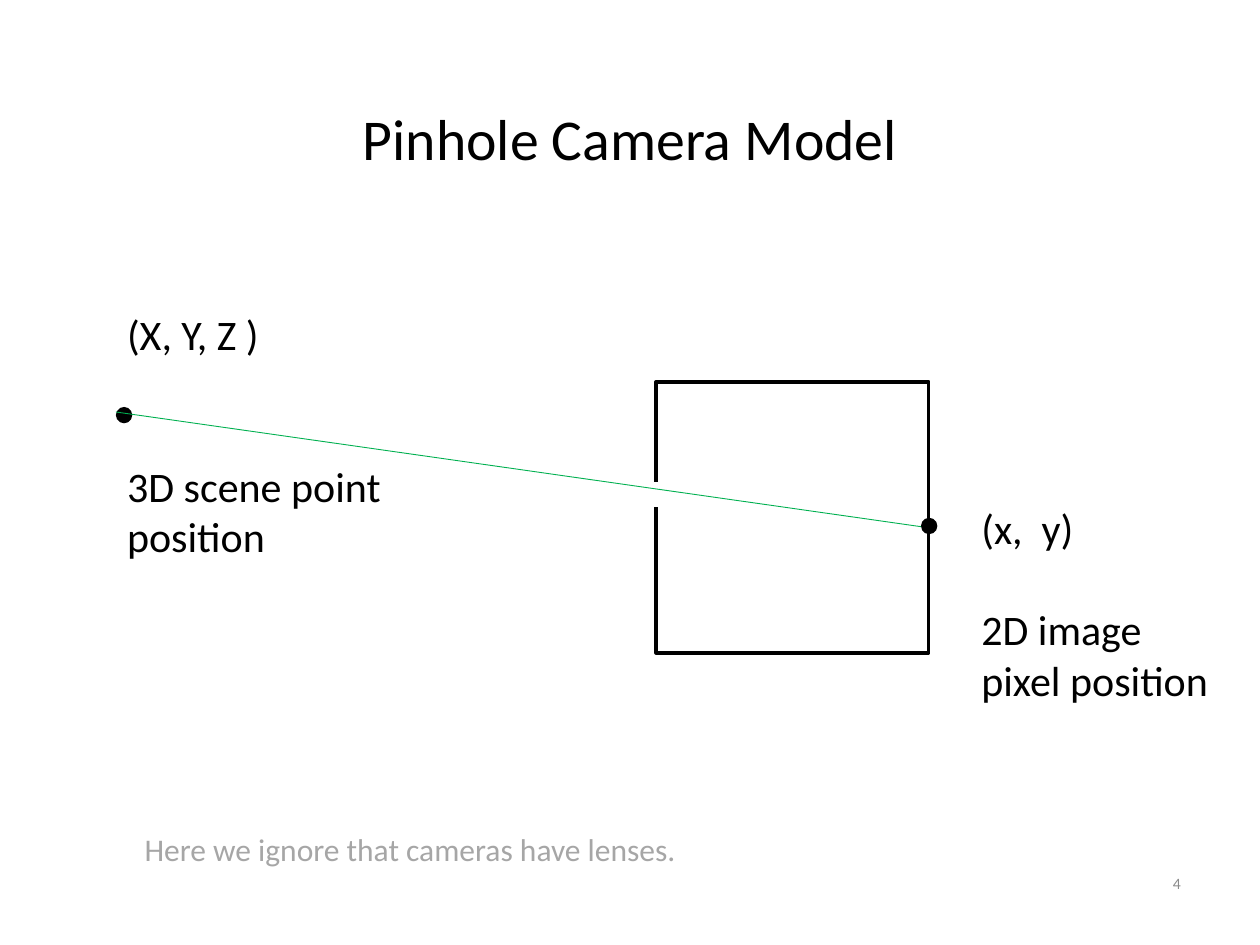
import dataclasses
import typing

import lxml.etree
import pptx
import pptx.dml.color
import pptx.enum.shapes
import pptx.enum.text
import pptx.oxml.ns
import pptx.util

Rgb = pptx.dml.color.RGBColor
Kind = pptx.enum.shapes.MSO_SHAPE
Align = pptx.enum.text.PP_ALIGN
Anchor = pptx.enum.text.MSO_ANCHOR
Fit = pptx.enum.text.MSO_AUTO_SIZE

SCALE = 9144  # EMU in one px, at 100 px to the inch


@dataclasses.dataclass(frozen=True)
class Theme:
    font: str = "Calibri"
    ink: str = "000000"
    paper: str = "FFFFFF"
    ray: str = "00B050"
    note: str = "A6A6A6"
    page: str = "8C8C8C"
    title_size: int = 33
    label_size: int = 24
    note_size: int = 18
    page_size: int = 9


THEME = Theme()


class Box(typing.NamedTuple):
    left: int
    top: int
    width: int
    height: int


@dataclasses.dataclass(frozen=True)
class Label:
    box: Box
    lines: tuple[str, ...]
    size: int
    color: str = THEME.ink
    align: Align = Align.LEFT
    anchor: Anchor = Anchor.TOP
    wrap: bool = False
    pitch: float = 1.0
    gap: int = 0  # points between the first and second line


@dataclasses.dataclass(frozen=True)
class Part:
    kind: Kind
    box: Box
    fill: str | None = None
    line: str | None = None
    weight: float = 0


def px(count: int) -> pptx.util.Emu:
    return pptx.util.Emu(count * SCALE)


def apply(target: typing.Any, values: dict[str, typing.Any]) -> None:
    for name, value in values.items():
        setattr(target, name, value)


def draw_label(slide: typing.Any, label: Label) -> None:
    frame = slide.shapes.add_textbox(*map(px, label.box)).text_frame
    apply(frame, {
        "word_wrap": label.wrap,
        "vertical_anchor": label.anchor,
        "auto_size": Fit.NONE if label.wrap else Fit.SHAPE_TO_FIT_TEXT,
    })
    for index, line in enumerate(label.lines):
        para = frame.add_paragraph() if index else frame.paragraphs[0]
        apply(para, {
            "alignment": label.align,
            "line_spacing": label.pitch,
            "space_before": pptx.util.Pt(label.gap if index == 1 else 0),
        })
        run = para.add_run()
        run.text = line
        apply(run.font, {"name": THEME.font, "size": pptx.util.Pt(label.size)})
        run.font.color.rgb = Rgb.from_string(label.color)


def draw_part(slide: typing.Any, part: Part) -> None:
    shape = slide.shapes.add_shape(part.kind, *map(px, part.box))
    shape.shadow.inherit = False
    for format, color in ((shape.fill, part.fill), (shape.line.fill, part.line)):
        if color:
            format.solid()
            format.fore_color.rgb = Rgb.from_string(color)
        else:
            format.background()
    if part.line:
        shape.line.width = pptx.util.Pt(part.weight)


def draw_ray(slide: typing.Any, start: tuple[int, int], end: tuple[int, int]) -> None:
    ray = slide.shapes.add_connector(
        pptx.enum.shapes.MSO_CONNECTOR.STRAIGHT, *map(px, start + end))
    ray.line.color.rgb = Rgb.from_string(THEME.ray)
    ray.line.width = pptx.util.Pt(0.5)
    lxml.etree.SubElement(ray._element.spPr, pptx.oxml.ns.qn("a:effectLst"))


# Camera body, scene point, image point, and the pinhole cut in the wall
PARTS = (
    Part(Kind.RECTANGLE, Box(521, 303, 216, 215), line=THEME.ink, weight=2.25),
    Part(Kind.OVAL, Box(92, 323, 13, 13), fill=THEME.ink),
    Part(Kind.OVAL, Box(731, 411, 13, 13), fill=THEME.ink),
    Part(Kind.RECTANGLE, Box(509, 383, 23, 19), THEME.paper, THEME.paper, 1),
)

LABELS = (
    Label(Box(69, 40, 862, 145), ("Pinhole Camera Model",), THEME.title_size,
          align=Align.CENTER, anchor=Anchor.MIDDLE, wrap=True, pitch=0.9),
    Label(Box(91, 240, 231, 212), ("(X, Y, Z )", "3D scene point", "position"),
          THEME.label_size, gap=58),
    Label(Box(769, 394, 202, 172), ("(x,  y)", "2D image", "pixel position"),
          THEME.label_size, gap=29),
    Label(Box(105, 654, 447, 40), ("Here we ignore that cameras have lenses.",),
          THEME.note_size, THEME.note),
    Label(Box(722, 681, 225, 40), ("4",), THEME.page_size, THEME.page,
          Align.RIGHT, Anchor.MIDDLE, True),
)


def main() -> None:
    deck = pptx.Presentation()
    apply(deck, {"slide_width": px(1000), "slide_height": px(750)})
    slide = deck.slides.add_slide(deck.slide_layouts[6])

    # Diagram, with the light ray above the pinhole
    for part in PARTS:
        draw_part(slide, part)
    draw_ray(slide, (731, 418), (92, 327))

    # Title, captions and page number
    for label in LABELS:
        draw_label(slide, label)
    deck.save("out.pptx")


if __name__ == "__main__":
    main()
